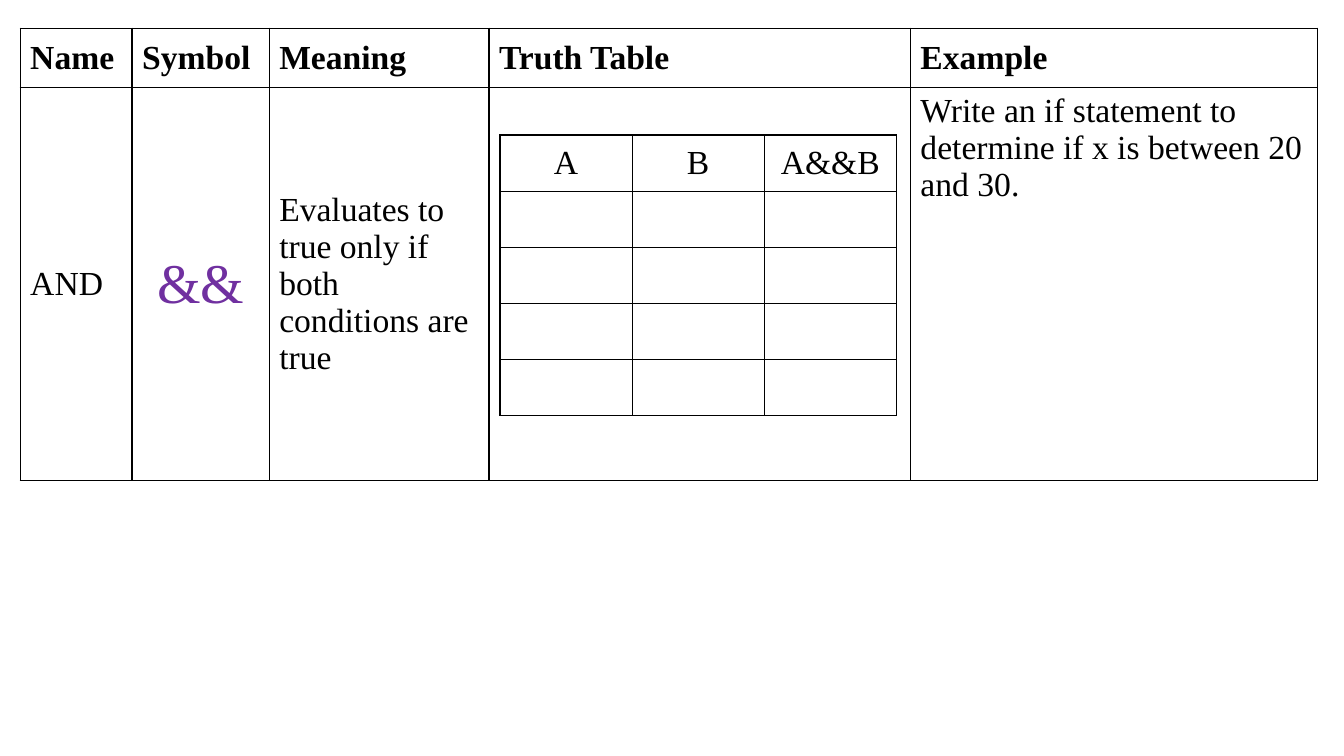
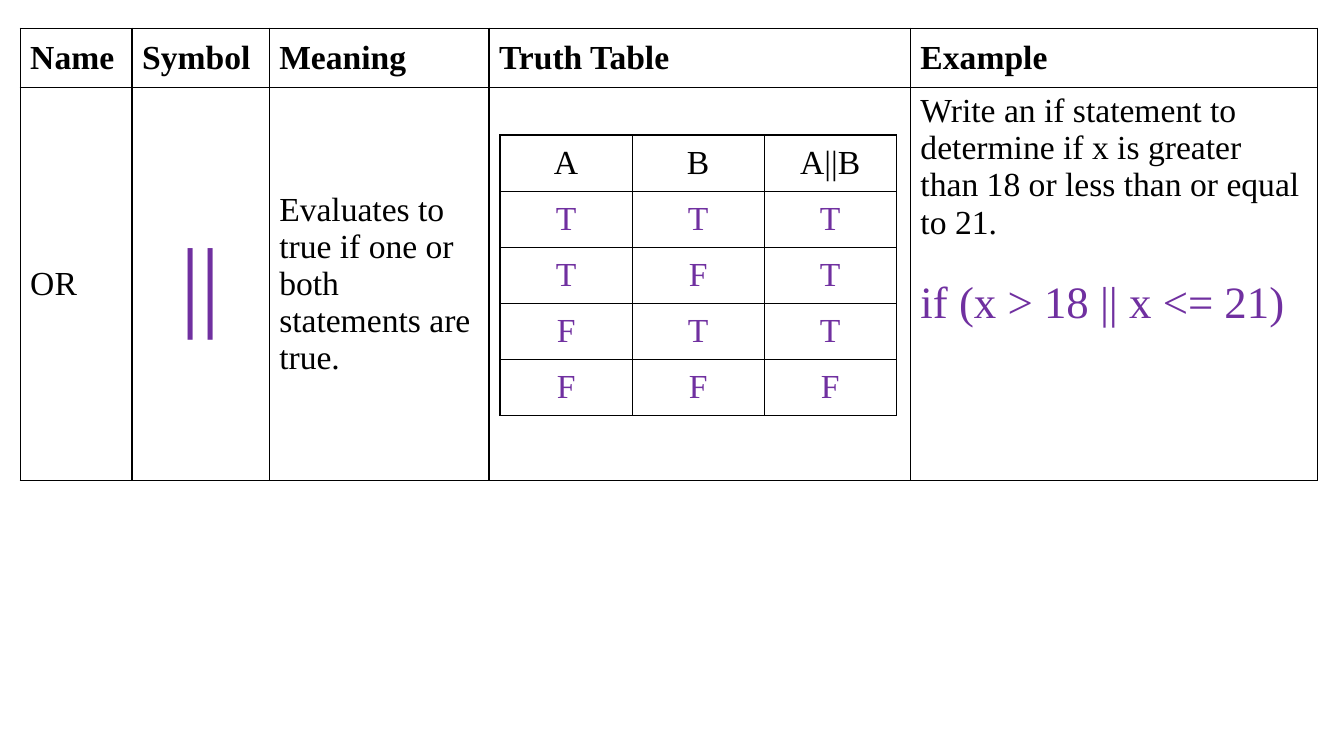
from lxml import etree
from pptx import Presentation
from pptx.dml.color import RGBColor
from pptx.enum.text import MSO_ANCHOR, PP_ALIGN
from pptx.oxml.ns import qn
from pptx.util import Inches, Pt

BLACK = RGBColor(0x00, 0x00, 0x00)
PURPLE = RGBColor(0x70, 0x30, 0xA0)
FONT = "Times New Roman"
BODY = 24
TOP, MIDDLE = MSO_ANCHOR.TOP, MSO_ANCHOR.MIDDLE
LEFT, CENTER = PP_ALIGN.LEFT, PP_ALIGN.CENTER

HEADS = ["Name", "Symbol", "Meaning", "Truth Table", "Example"]
WIDTHS = [1.11, 1.36, 2.18, 4.18, 4.04]
HEIGHTS = [0.59, 3.9]
GRID_COLS, GRID_ROWS = 3, 5
GRID_WIDTH, GRID_HEIGHT = 3.93, 2.78


def add_border(cell):
    props = cell._tc.get_or_add_tcPr()
    for side in ("a:lnL", "a:lnR", "a:lnT", "a:lnB"):
        line = etree.SubElement(props, qn(side), w=str(Pt(1)))
        fill = etree.SubElement(line, qn("a:solidFill"))
        etree.SubElement(fill, qn("a:srgbClr"), val=str(BLACK))


def add_grid(slide, left, top, widths, heights):
    frame = slide.shapes.add_table(
        len(heights), len(widths), Inches(left), Inches(top),
        Inches(sum(widths)), Inches(sum(heights)))
    table = frame.table
    table.first_row = table.horz_banding = False
    for col, width in zip(table.columns, widths):
        col.width = Inches(width)
    for row, height in zip(table.rows, heights):
        row.height = Inches(height)
    for cell in table.iter_cells():
        add_border(cell)
        cell.fill.background()
        cell.vertical_anchor = MIDDLE
    return table


def write(para, text, size=BODY, color=BLACK, bold=False, align=LEFT):
    para.alignment = align
    run = para.add_run()
    run.text = text
    font = run.font
    font.name = FONT
    font.size = Pt(size)
    font.bold = bold
    font.color.rgb = color


def fill_cell(cell, text, **style):
    write(cell.text_frame.paragraphs[0], text, **style)


def add_truth(slide, label, values):
    table = add_grid(slide, 4.96, 1.34,
                     [GRID_WIDTH / GRID_COLS] * GRID_COLS,
                     [GRID_HEIGHT / GRID_ROWS] * GRID_ROWS)
    for col, text in enumerate(["A", "B", label]):
        fill_cell(table.cell(0, col), text, align=CENTER)
    for row, marks in enumerate(values, 1):
        for col, mark in enumerate(marks):
            fill_cell(table.cell(row, col), mark, color=PURPLE, align=CENTER)


def add_slide(deck, name, symbol, size, meaning, task, values=(), answer=None):
    slide = deck.slides.add_slide(deck.slide_layouts[6])
    table = add_grid(slide, 0.2, 0.28, WIDTHS, HEIGHTS)
    for col, head in enumerate(HEADS):
        fill_cell(table.cell(0, col), head, bold=True)
    fill_cell(table.cell(1, 0), name)
    fill_cell(table.cell(1, 1), symbol, size=size, color=PURPLE, align=CENTER)
    fill_cell(table.cell(1, 2), meaning)
    sample = table.cell(1, 4)
    sample.vertical_anchor = TOP
    fill_cell(sample, task)
    if answer:
        para = sample.text_frame.add_paragraph()
        para.space_before = Pt(26.5)
        write(para, answer, size=32, color=PURPLE)
    add_truth(slide, f"A{symbol}B", values)


def main():
    deck = Presentation()
    deck.slide_width, deck.slide_height = Inches(13.33), Inches(7.5)
    add_slide(
        deck, "AND", "&&", 40,
        "Evaluates to true only if both conditions are true",
        "Write an if statement to determine if x is between 20 and 30.")
    add_slide(
        deck, "OR", "||", 72,
        "Evaluates to true if one or both statements are true.",
        "Write an if statement to determine if x is greater than 18 "
        "or less than or equal to 21.",
        ["TTT", "TFT", "FTT", "FFF"], "if (x > 18 || x <= 21)")
    deck.save("out.pptx")


if __name__ == "__main__":
    main()
